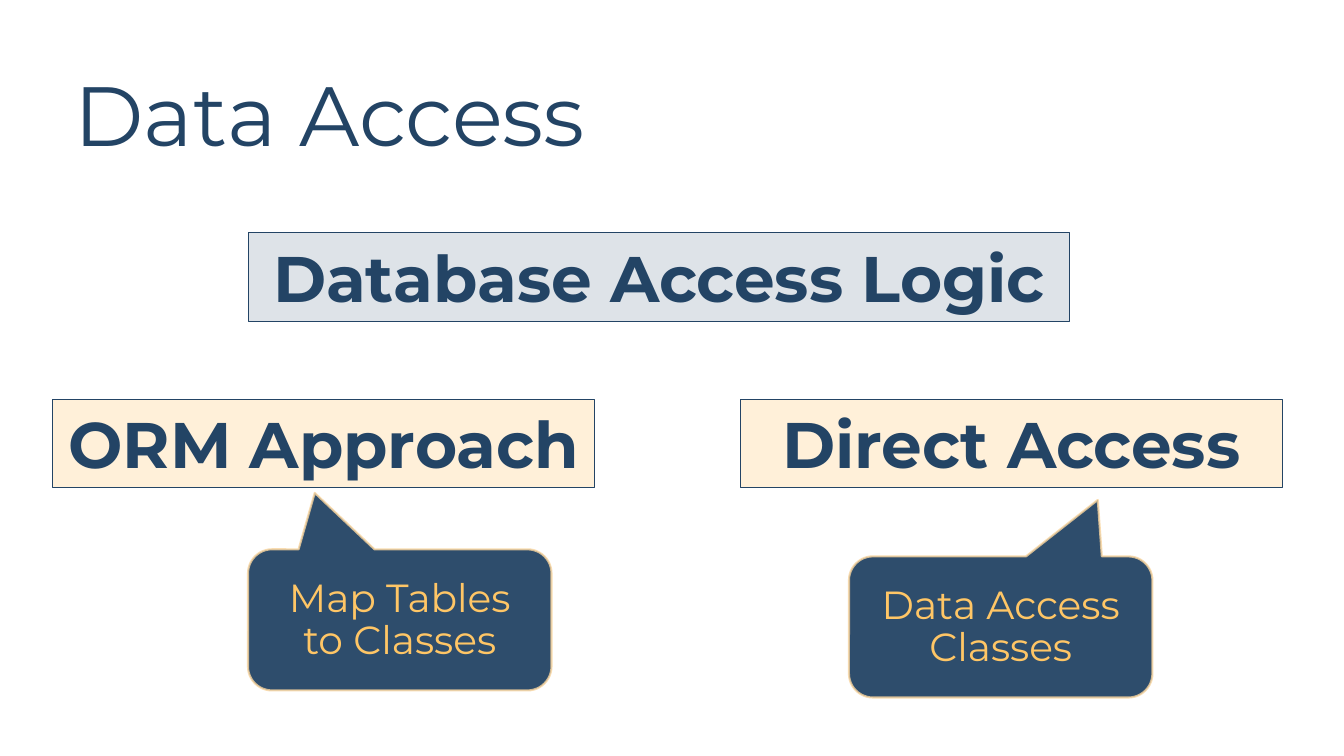
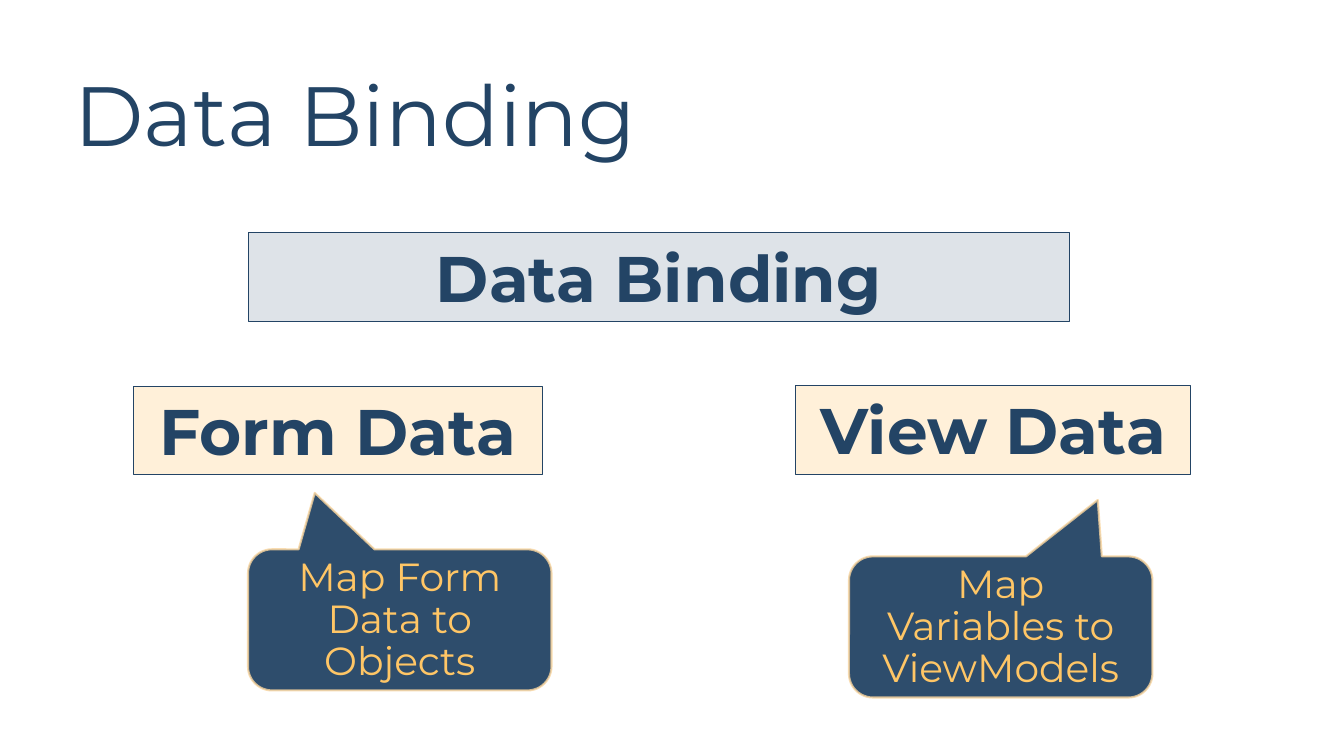
"""Build two slides on data access and data binding."""
from typing import NamedTuple

from lxml.etree import SubElement
from pptx import Presentation
from pptx.dml.color import RGBColor
from pptx.dml.fill import FillFormat
from pptx.enum.shapes import MSO_SHAPE as Preset
from pptx.enum.text import MSO_ANCHOR as Anchor, MSO_AUTO_SIZE as AutoSize, PP_ALIGN as Align
from pptx.oxml.ns import qn
from pptx.shapes.autoshape import Shape
from pptx.slide import Slide
from pptx.util import Inches, Pt

FONT = "Montserrat"
COLORS = {
    "navy": "234465",
    "orange": "FFA000",
    "gold": "FFC666",
    "sand": "F8D49E",
}


class Area(NamedTuple):
    left: float
    top: float
    width: float
    height: float


class Banner(NamedTuple):
    text: str
    area: Area
    color: str = "orange"


class Callout(NamedTuple):
    area: Area
    tip_x: float


class Topic(NamedTuple):
    title: str
    banners: tuple[Banner, ...]
    notes: tuple[str, ...]


TITLE_AREA = Area(0.64, 0.66, 12.68, 1.04)
HEAD_AREA = Area(2.46, 2.31, 8.15, 0.88)
CALLOUTS = (
    Callout(Area(2.46, 5.45, 3.01, 1.4), -0.28),
    Callout(Area(8.42, 5.52, 3.01, 1.4), 0.32),
)
TOPICS = (
    Topic(
        "Data Access",
        (
            Banner("Database Access Logic", HEAD_AREA, "navy"),
            Banner("ORM Approach", Area(0.52, 3.96, 5.38, 0.88)),
            Banner("Direct Access", Area(7.34, 3.96, 5.38, 0.88)),
        ),
        ("Map Tables to Classes", "Data Access Classes"),
    ),
    Topic(
        "Data Binding",
        (
            Banner("Data Binding", HEAD_AREA, "navy"),
            Banner("Form Data", Area(1.32, 3.83, 4.06, 0.88)),
            Banner("View Data", Area(7.89, 3.82, 3.92, 0.89)),
        ),
        ("Map Form Data to Objects", "Map Variables to ViewModels"),
    ),
)


def paint(fill: FillFormat, color: str, opacity: int, parent) -> None:
    fill.solid()
    fill.fore_color.rgb = RGBColor.from_string(COLORS[color])
    if opacity < 100:
        tone = parent.find(qn("a:solidFill")).find(qn("a:srgbClr"))
        SubElement(tone, qn("a:alpha"), val=str(opacity * 1000))


def write(box: Shape, text: str, size: int, color: str, *, bold: bool = False,
          align: Align = Align.CENTER, anchor: Anchor = Anchor.MIDDLE,
          spacing: float | Pt | None = None) -> None:
    frame = box.text_frame
    frame.word_wrap = True
    frame.vertical_anchor = anchor
    para = frame.paragraphs[0]
    para.alignment = align
    para.line_spacing = spacing
    span = para.add_run()
    span.text = text
    span.font.name = FONT
    span.font.size = Pt(size)
    span.font.bold = bold
    span.font.color.rgb = RGBColor.from_string(COLORS[color])


def add_panel(page: Slide, preset: Preset, area: Area, color: str, opacity: int,
              line_color: str, line_width: float, line_opacity: int = 100) -> Shape:
    box = page.shapes.add_shape(preset, *map(Inches, area))
    box.shadow.inherit = False
    properties = box.element.spPr
    paint(box.fill, color, opacity, properties)
    box.line.width = Pt(line_width)
    paint(box.line.fill, line_color, line_opacity, properties.find(qn("a:ln")))
    return box


def add_title(page: Slide, text: str) -> None:
    box = page.shapes.add_textbox(*map(Inches, TITLE_AREA))
    write(box, text, 60, "navy", align=Align.LEFT, spacing=0.9)


def add_banner(page: Slide, banner: Banner) -> None:
    box = add_panel(page, Preset.RECTANGLE, banner.area, banner.color, 15, "navy", 0.75)
    write(box, banner.text, 46, "navy", bold=True, anchor=Anchor.TOP)
    box.text_frame.auto_size = AutoSize.SHAPE_TO_FIT_TEXT


def add_callout(page: Slide, callout: Callout, text: str) -> None:
    box = add_panel(page, Preset.ROUNDED_RECTANGULAR_CALLOUT, callout.area,
                    "navy", 95, "sand", 1.5, 80)
    for index, value in enumerate((callout.tip_x, -0.9, 0.17)):
        box.adjustments[index] = value
    write(box, text, 28, "gold", spacing=Pt(30))


def main() -> None:
    deck = Presentation()
    deck.slide_width, deck.slide_height = Inches(13.33), Inches(7.5)
    for topic in TOPICS:
        page = deck.slides.add_slide(deck.slide_layouts[6])
        add_title(page, topic.title)
        for banner in topic.banners:
            add_banner(page, banner)
        for callout, note in zip(CALLOUTS, topic.notes):
            add_callout(page, callout, note)
    deck.save("out.pptx")


if __name__ == "__main__":
    main()
